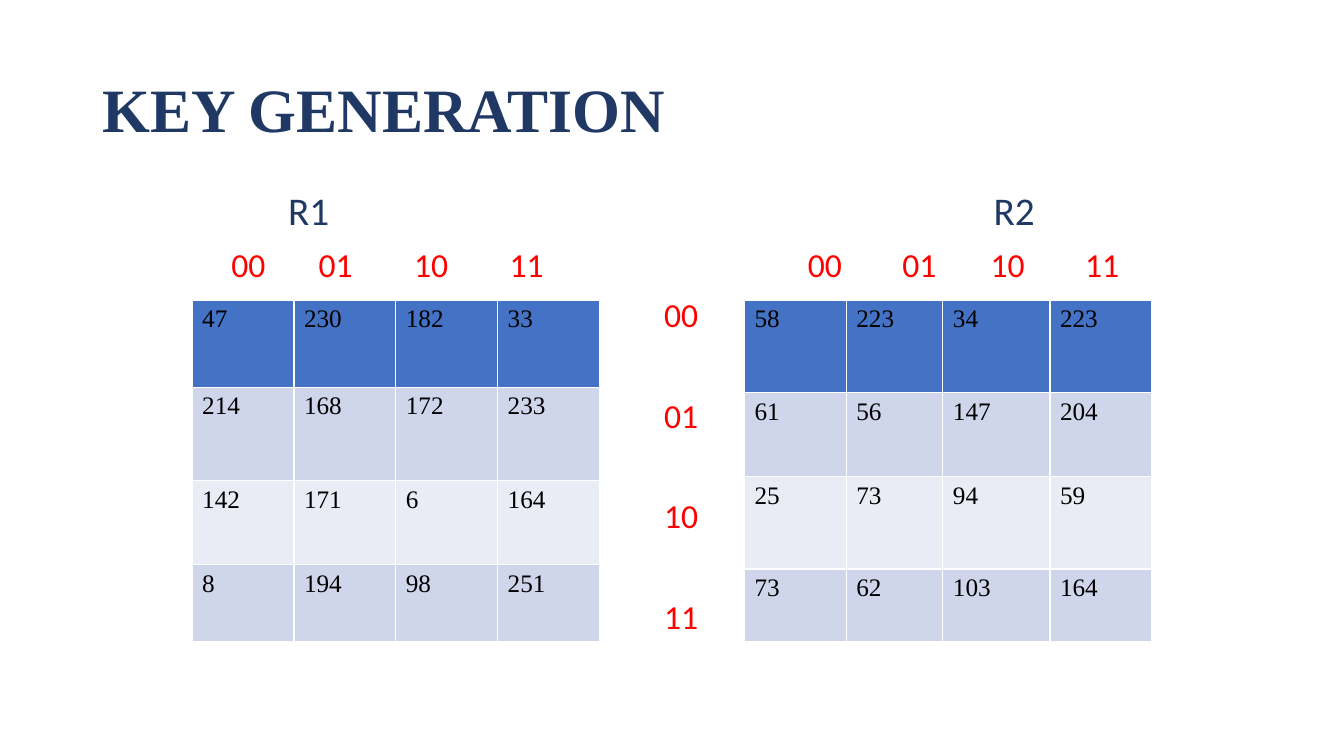
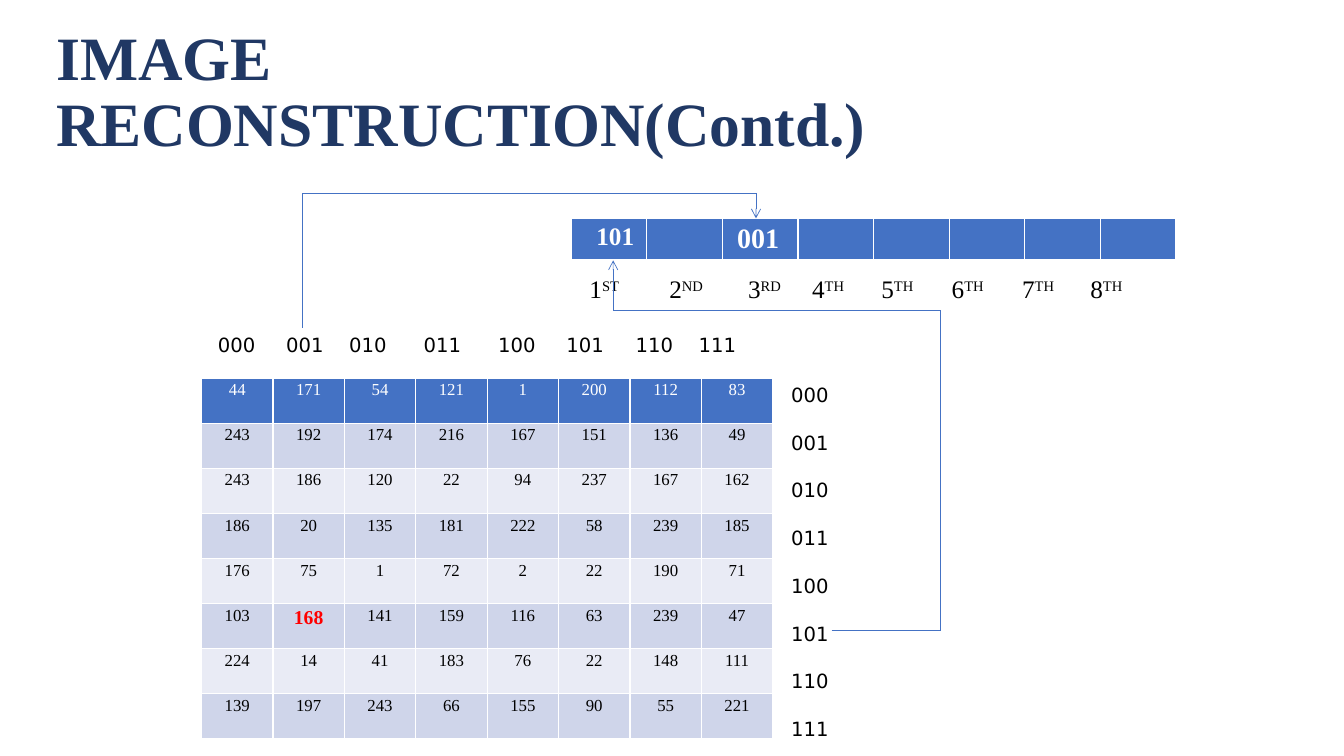
from itertools import pairwise

from lxml.etree import SubElement
from pptx import Presentation
from pptx.dml.color import RGBColor
from pptx.enum.shapes import MSO_CONNECTOR
from pptx.enum.text import MSO_ANCHOR, PP_ALIGN
from pptx.oxml.ns import qn
from pptx.util import Pt

PX = 9525  # EMU in one px, 96 px to the inch
NAVY = RGBColor(0x20, 0x38, 0x64)
BLUE = RGBColor(0x44, 0x72, 0xC4)
BANDS = (RGBColor(0xE9, 0xEB, 0xF5), RGBColor(0xCF, 0xD5, 0xEA))
RED = RGBColor(0xFF, 0, 0)
BLACK = RGBColor(0, 0, 0)
WHITE = RGBColor(0xFF, 0xFF, 0xFF)
SERIF, SANS, MONO = "Times New Roman", "Calibri", "DejaVu Sans"

R1 = [[47, 230, 182, 33], [214, 168, 172, 233], [142, 171, 6, 164], [8, 194, 98, 251]]
R2 = [[58, 223, 34, 223], [61, 56, 147, 204], [25, 73, 94, 59], [73, 62, 103, 164]]
SHARE = [
    [44, 171, 54, 121, 1, 200, 112, 83],
    [243, 192, 174, 216, 167, 151, 136, 49],
    [243, 186, 120, 22, 94, 237, 167, 162],
    [186, 20, 135, 181, 222, 58, 239, 185],
    [176, 75, 1, 72, 2, 22, 190, 71],
    [103, 168, 141, 159, 116, 63, 239, 47],
    [224, 14, 41, 183, 76, 22, 148, 111],
    [139, 197, 243, 66, 155, 90, 55, 221],
]
TWO_BITS = [f"{number:02b}" for number in range(4)]
THREE_BITS = [f"{number:03b}" for number in range(8)]


def px(*lengths):
    return [round(length * PX) for length in lengths]


def style(para, size, face, color, bold=False):
    for span in para.runs:
        font = span.font
        font.size, font.name, font.bold = Pt(size), face, bold
        font.color.rgb = color


def set_tabs(para, stops):
    tab_list = SubElement(para._p.get_or_add_pPr(), qn("a:tabLst"))
    for stop in stops:
        SubElement(tab_list, qn("a:tab"), pos=str(stop * PX), algn="l")


def add_text(page, box):
    frame = page.shapes.add_textbox(*px(*box)).text_frame
    frame.word_wrap = True
    return frame


def tabbed(para, words, stops, size, face, color):
    """Put each word at its own tab stop."""
    para.text = "".join("\t" + word for word in words)
    set_tabs(para, stops)
    style(para, size, face, color)


def add_title(page, box, text):
    frame = add_text(page, box)
    frame.vertical_anchor = MSO_ANCHOR.MIDDLE
    frame.text = text
    para = frame.paragraphs[0]
    para.line_spacing = 0.9
    style(para, 44, SERIF, NAVY, bold=True)


def add_grid(page, left, top, columns, rows):
    """Empty table with a blue header row and banded rows below it."""
    size = px(left, top, sum(columns), sum(rows))
    table = page.shapes.add_table(len(rows), len(columns), *size).table
    for column, width in zip(table.columns, columns):
        column.width = width * PX
    for index, (row, height) in enumerate(zip(table.rows, rows)):
        row.height = height * PX
        for cell in row.cells:
            cell.fill.solid()
            cell.fill.fore_color.rgb = BANDS[index % 2] if index else BLUE
    return table


def add_key_table(page, left, top, columns, rows, values):
    table = add_grid(page, left, top, columns, rows)
    for cell, value in zip(table.iter_cells(), sum(values, [])):
        cell.text = str(value)
        style(cell.text_frame.paragraphs[0], 18, SERIF, BLACK)


def fill_tight(cell, text, size, color, bold=False, left=7):
    cell.margin_left, cell.margin_right = px(left, 7)
    cell.margin_top = cell.margin_bottom = 0
    cell.text = text
    para = cell.text_frame.paragraphs[0]
    para.line_spacing, para.space_after = 1.15, Pt(10)
    style(para, size, SERIF, color, bold)
    return para


def add_key_labels(page, box):
    """Table names, column codes and the row codes between the tables."""
    frame = add_text(page, box)
    lines = [
        (["R1", "R2"], [177, 849], 28, NAVY, 10),
        (TWO_BITS * 2, [123, 206, 297, 388, 672, 762, 846, 936], 24, RED, 10),
    ]
    lines += [([code], [535], 24, RED, 46 if index else 10)
              for index, code in enumerate(TWO_BITS)]
    for index, (words, stops, size, color, gap) in enumerate(lines):
        para = frame.add_paragraph() if index else frame.paragraphs[0]
        para.line_spacing, para.space_before = 0.9, Pt(gap)
        tabbed(para, words, stops, size, SANS, color)


def add_share(page, left, top):
    """Share matrix with its column codes above and row codes at the right."""
    table = add_grid(page, left, top, [68] * 8, [43] * 8)
    for row, values in enumerate(SHARE):
        for column, value in enumerate(values):
            marked = (row, column) == (5, 1)
            color = RED if marked else BLACK if row else WHITE
            para = fill_tight(table.cell(row, column), str(value),
                              14 if marked else 12, color, marked)
            para.alignment = PP_ALIGN.CENTER

    codes = add_text(page, (left, top - 48, 552, 33)).paragraphs[0]
    tabbed(codes, THREE_BITS, [6, 71, 131, 202, 273, 338, 404, 464], 14, MONO, BLACK)

    frame = add_text(page, (left + 552, top, 66, 349))
    frame.text = "\n".join(THREE_BITS)
    for index, para in enumerate(frame.paragraphs):
        para.space_before = Pt(17.25 if index else 0)
        style(para, 14, MONO, BLACK)


def add_bit_strip(page, left, top):
    """Row of eight slots with ordinals below."""
    table = add_grid(page, left, top, [72] * 8, [39])
    slots = {0: ("101", 18, 24), 2: ("001", 20, 14)}
    for index, cell in enumerate(table.iter_cells()):
        text, size, indent = slots.get(index, ("", 18, 7))
        fill_tight(cell, text, size, WHITE, True, indent)

    para = add_text(page, (left + 8, top + 48, 568, 38)).paragraphs[0]
    set_tabs(para, [76, 151, 212, 278, 345, 412, 477])
    for number, suffix in enumerate(["ST", "ND", "RD"] + ["TH"] * 5, 1):
        para.add_run().text = f"\t{number}" if number > 1 else "1"
        raised = para.add_run()
        raised.text = suffix
        raised._r.get_or_add_rPr().set("baseline", "30000")
    style(para, 18, SERIF, BLACK)


def add_route(page, points):
    """Line through the points, with an arrowhead at the last one."""
    for start, end in pairwise(points):
        line = page.shapes.add_connector(MSO_CONNECTOR.STRAIGHT, *px(*start, *end))
        line.line.color.rgb = BLUE
        line.line.width = Pt(0.5)
        SubElement(line._element.spPr, qn("a:effectLst"))
    SubElement(line.line._get_or_add_ln(), qn("a:tailEnd"), type="arrow")


def build_key_slide(page):
    add_title(page, (88, 38, 1104, 139), "KEY GENERATION")
    add_key_labels(page, (88, 178, 1104, 512))
    add_key_table(page, 183, 286, [97] * 4, [83, 89, 80, 73], R1)
    add_key_table(page, 709, 286, [97, 92, 102, 97], [88, 80, 88, 69], R2)


def build_reconstruction_slide(page):
    add_title(page, (44, 29, 864, 120), "IMAGE RECONSTRUCTION(Contd.)")
    add_share(page, 192, 360)
    add_bit_strip(page, 544, 208)
    # Column code to third slot, row code to first slot
    add_route(page, [(288, 312), (288, 184), (720, 184), (720, 208)])
    add_route(page, [(792, 600), (896, 600), (896, 296), (584, 296), (584, 248)])


def main():
    deck = Presentation()
    deck.slide_width, deck.slide_height = px(1280, 720)
    for build in (build_key_slide, build_reconstruction_slide):
        build(deck.slides.add_slide(deck.slide_layouts[6]))
    deck.save("out.pptx")


if __name__ == "__main__":
    main()
